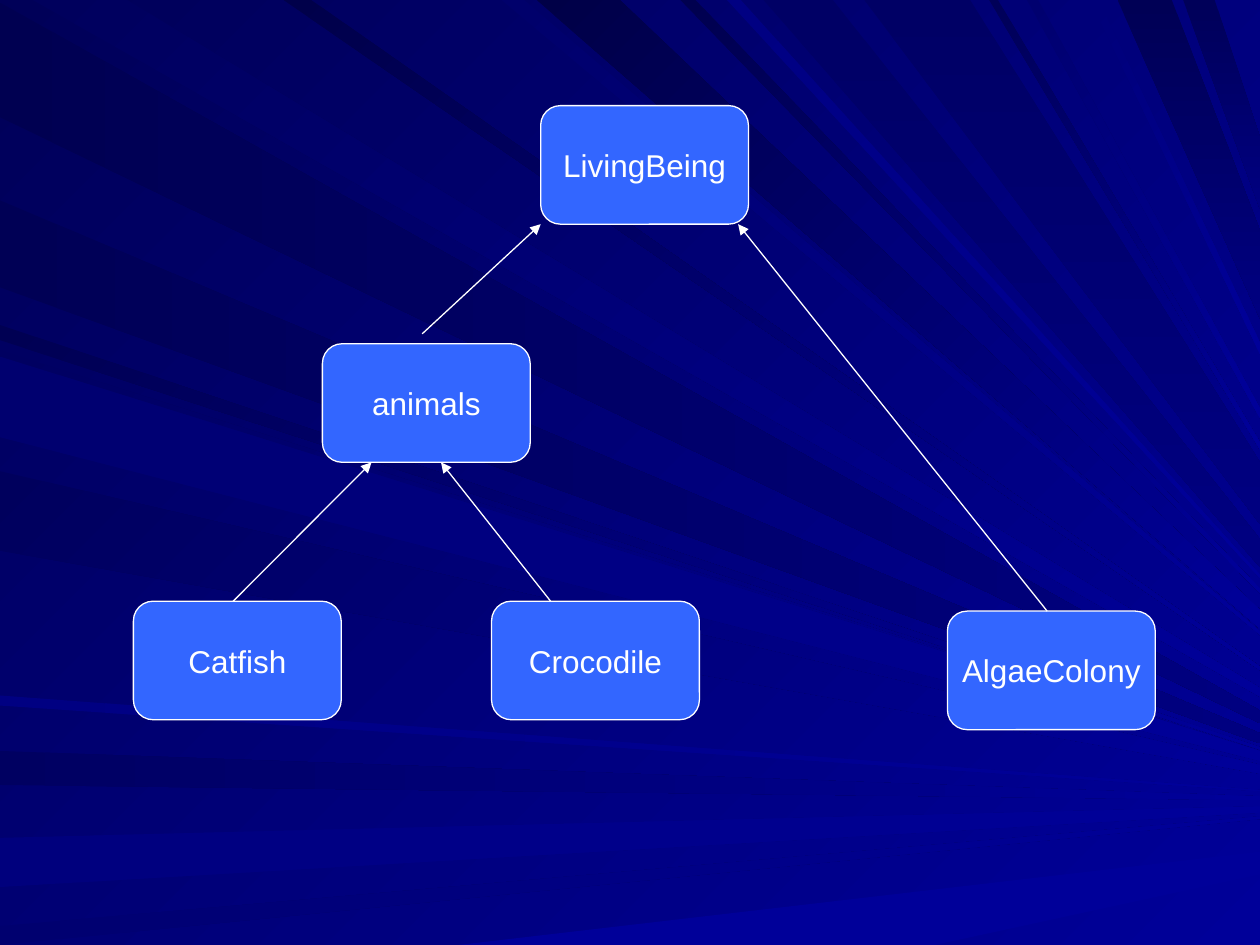
from lxml.etree import SubElement
from pptx import Presentation
from pptx.dml.color import RGBColor
from pptx.enum.shapes import MSO_CONNECTOR, MSO_SHAPE
from pptx.enum.text import MSO_ANCHOR, PP_ALIGN
from pptx.oxml.ns import qn
from pptx.util import Cm, Pt

WHITE = RGBColor(0xFF, 0xFF, 0xFF)
BOX_BLUE = RGBColor(0x33, 0x66, 0xFF)
DEEP = RGBColor(0x00, 0x00, 0x80)
BRIGHT = RGBColor(0x00, 0x00, 0x99)
NIGHT = RGBColor(0x00, 0x00, 0x58)
RAY_UNIT = Cm(0.0254)
RIGHT, BOTTOM = 1000, 750
BOX_W, BOX_H = Cm(4.19), Cm(2.39)


def paint(fill, start, end, angle):
    fill.gradient()
    fill.gradient_angle = -angle % 360
    for stop, color in zip(fill.gradient_stops, (start, end)):
        stop.color.rgb = color


def ray_points(edge, a, b):
    fx, fy = (1130, 637) if edge == "left" else (1180, 655)
    near = []
    for v in (a, b):
        near.append({"left": (0, v), "top": (v, 0), "bottom": (v, BOTTOM)}[edge])
    far = [(RIGHT, round(y + (fy - y) * (RIGHT - x) / (fx - x))) for x, y in near]
    return near + far[::-1]


prs = Presentation()
prs.slide_width, prs.slide_height = Cm(25.4), Cm(19.05)
s = prs.slides.add_slide(prs.slide_layouts[6])
paint(s.background.fill, NIGHT, BRIGHT, 45)

ray_families = [
    ("left", DEEP, 0, [(2, 93, 0x51), (159, 228, 0x55)]),
    ("left", BRIGHT, 45, [(258, 270, 0x53), (278, 342, 0x61), (374, 437, 0x5D)]),
    ("left", BRIGHT, 0, [(283, 347, 0x6F), (552, 560, 0x82), (596, 623, 0x61),
                         (665, 704, 0x7D), (735, 750, 0x6F)]),
    ("bottom", BRIGHT, 0, [(364, 742, 0x99)]),
    ("top", BRIGHT, 45, [(26, 101, 0x5D), (225, 247, 0x4A), (398, 416, 0x6B),
                         (426, 492, 0x47), (540, 552, 0x4F), (577, 588, 0x82)]),
    ("top", DEEP, 90, [(606, 661, 0x65), (686, 770, 0x65), (887, 930, 0x55), (939, 964, 0x59)]),
    ("top", BRIGHT, 45, [(785, 792, 0x58), (815, 824, 0x6F), (865, 872, 0x79)]),
]
grp = s.shapes.add_group_shape()
for edge, end, angle, rays in ray_families:
    for a, b, blue in rays:
        points = ray_points(edge, a, b)
        fb = grp.shapes.build_freeform(*points[0], scale=RAY_UNIT)
        fb.add_line_segments(points[1:], close=True)
        sp = fb.convert_to_shape()
        sp.shadow.inherit = False
        sp.line.fill.background()
        paint(sp.fill, RGBColor(0, 0, blue), end, angle)

frame_format = {"word_wrap": False, "vertical_anchor": MSO_ANCHOR.MIDDLE}
font_format = {"name": "Arial", "size": Pt(18)}
boxes = [
    ("LivingBeing", 10.9, 2.13),
    ("animals", 6.5, 6.93),
    ("Crocodile", 9.91, 12.12),
    ("Catfish", 2.69, 12.12),
    ("AlgaeColony", 19.1, 12.32),
]
for name, x, y in boxes:
    sp = s.shapes.add_shape(MSO_SHAPE.FLOWCHART_ALTERNATE_PROCESS, Cm(x), Cm(y), BOX_W, BOX_H)
    sp.shadow.inherit = False
    sp.fill.solid()
    sp.fill.fore_color.rgb = BOX_BLUE
    sp.line.color.rgb = WHITE
    sp.line.width = Pt(0.75)
    tf = sp.text_frame
    for key, value in frame_format.items():
        setattr(tf, key, value)
    p = tf.paragraphs[0]
    p.alignment = PP_ALIGN.CENTER
    r = p.add_run()
    r.text = name
    for key, value in font_format.items():
        setattr(r.font, key, value)
    r.font.color.rgb = WHITE

arrows = [
    (8.51, 6.73, 10.9, 4.52),
    (4.7, 12.12, 7.49, 9.32),
    (11.1, 12.12, 8.89, 9.32),
    (21.11, 12.32, 14.88, 4.52),
]
for ends in arrows:
    cxn = s.shapes.add_connector(MSO_CONNECTOR.STRAIGHT, *map(Cm, ends))
    cxn.line.color.rgb = WHITE
    cxn.line.width = Pt(0.75)
    ln = cxn._element.spPr.find(qn("a:ln"))
    SubElement(ln, qn("a:tailEnd"), type="triangle")
    SubElement(cxn._element.spPr, qn("a:effectLst"))

prs.save("out.pptx")
